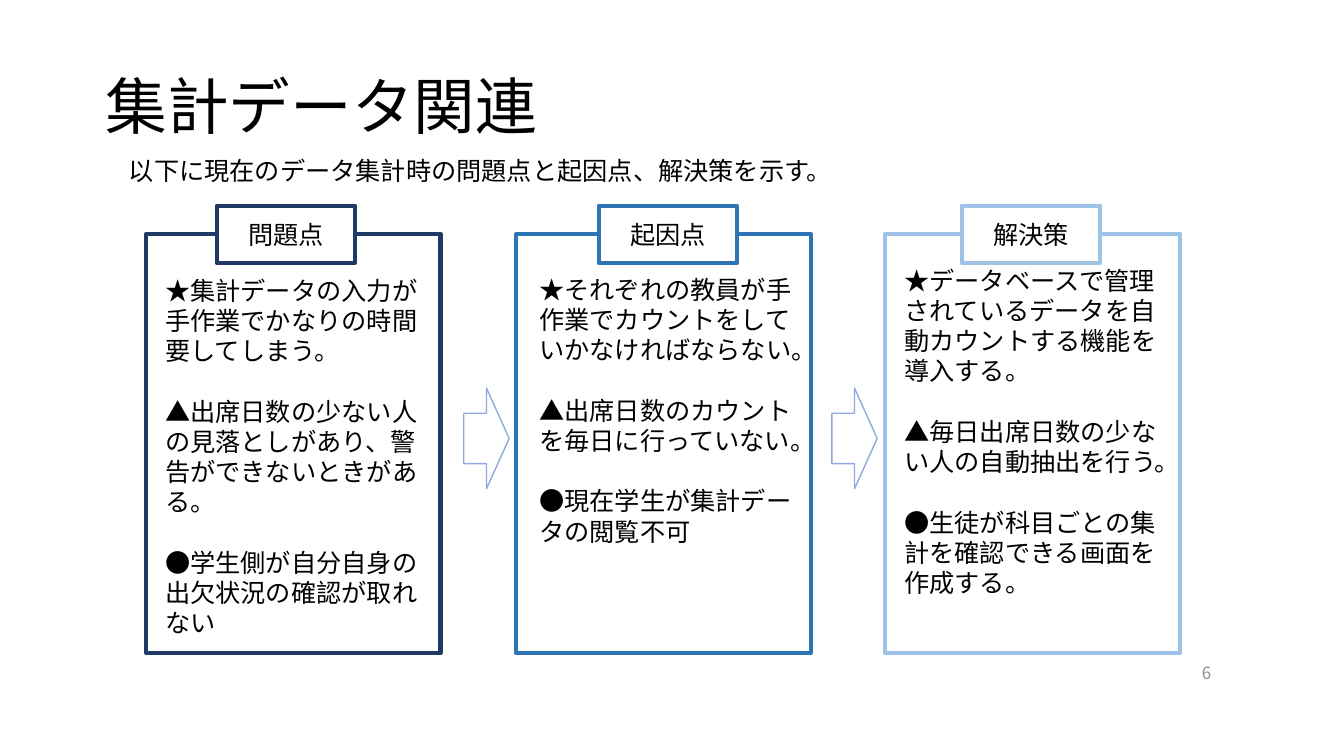
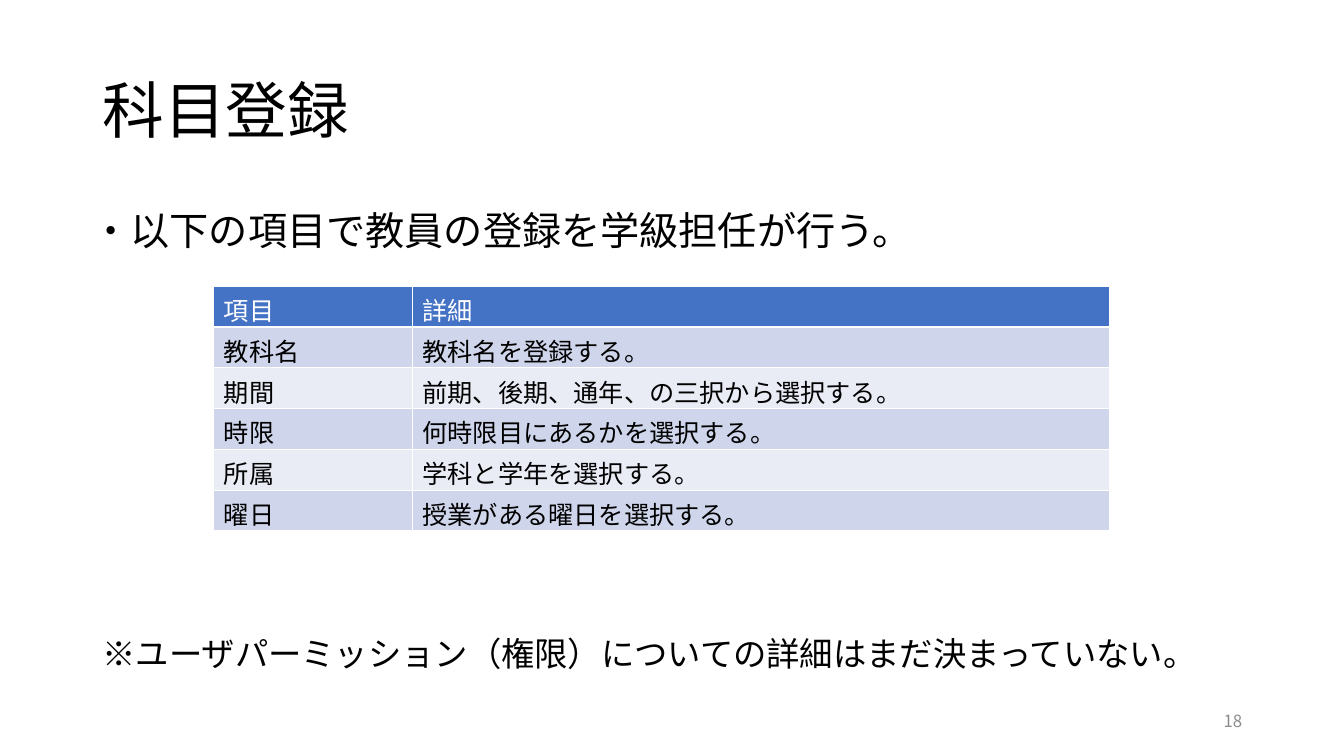
import lxml.etree
import pptx
import pptx.dml.color
import pptx.enum.shapes
import pptx.enum.text
import pptx.oxml.ns
import pptx.util

Inches = pptx.util.Inches
Pt = pptx.util.Pt
RGBColor = pptx.dml.color.RGBColor
qn = pptx.oxml.ns.qn
PRESET = pptx.enum.shapes.MSO_SHAPE
ALIGN = pptx.enum.text.PP_ALIGN
MIDDLE = pptx.enum.text.MSO_ANCHOR.MIDDLE

FONT = "Noto Sans CJK JP"
BLACK = RGBColor(0x00, 0x00, 0x00)
WHITE = RGBColor(0xFF, 0xFF, 0xFF)
GRAY = RGBColor(0x8C, 0x8C, 0x8C)
NAVY = RGBColor(0x20, 0x38, 0x64)
BLUE = RGBColor(0x2E, 0x75, 0xB6)
SKY = RGBColor(0x9D, 0xC3, 0xE6)
ARROW_BLUE = RGBColor(0x8F, 0xAA, 0xDC)
HEADER_BLUE = RGBColor(0x44, 0x72, 0xC4)
BAND_DARK = RGBColor(0xCF, 0xD5, 0xEA)
BAND_LIGHT = RGBColor(0xE9, 0xEB, 0xF5)
TIGHT_LINE = Pt(21.6)

# Heading, colour, panel left, tag left, body left, body top, points
PANELS = [
    ("問題点", NAVY, 1.45, 2.15, 1.54, 2.68, [
        "★集計データの入力が手作業でかなりの時間要してしまう。",
        "▲出席日数の少ない人の見落としがあり、警告ができないときがある。",
        "●学生側が自分自身の出欠状況の確認が取れない",
    ]),
    ("起因点", BLUE, 5.12, 5.94, 5.25, 2.67, [
        "★それぞれの教員が手作業でカウントをしていかなければならない。",
        "▲出席日数のカウントを毎日に行っていない。",
        "●現在学生が集計データの閲覧不可",
    ]),
    ("解決策", SKY, 8.78, 9.54, 8.87, 2.58, [
        "★データベースで管理されているデータを自動カウントする機能を導入する。",
        "▲毎日出席日数の少ない人の自動抽出を行う。",
        "●生徒が科目ごとの集計を確認できる画面を作成する。",
    ]),
]

SUBJECT_ROWS = [
    ("項目", "詳細"),
    ("教科名", "教科名を登録する。"),
    ("期間", "前期、後期、通年、の三択から選択する。"),
    ("時限", "何時限目にあるかを選択する。"),
    ("所属", "学科と学年を選択する。"),
    ("曜日", "授業がある曜日を選択する。"),
]


def style_paragraph(paragraph, size, color=BLACK):
    """Set the paragraph's font for Latin and East Asian text."""
    paragraph.font.name = FONT
    paragraph.font.size = Pt(size)
    paragraph.font.color.rgb = color
    defaults = paragraph._p.get_or_add_pPr().find(qn("a:defRPr"))
    lxml.etree.SubElement(defaults, qn("a:ea")).set("typeface", FONT)


def add_text(slide, box, lines, size, color=BLACK, align=ALIGN.LEFT,
             anchor=pptx.enum.text.MSO_ANCHOR.TOP, spacing=1.0,
             before=0, gap=0):
    """Add a wrapped text box with one paragraph per line."""
    frame = slide.shapes.add_textbox(*map(Inches, box)).text_frame
    frame.word_wrap = True
    frame.vertical_anchor = anchor
    for index, line in enumerate(lines):
        paragraph = frame.paragraphs[0] if index == 0 else frame.add_paragraph()
        paragraph.text = line
        paragraph.alignment = align
        paragraph.line_spacing = spacing
        paragraph.space_before = Pt(gap if index else before)
        style_paragraph(paragraph, size, color)


def add_title(slide, left, top, title):
    """Add the slide title."""
    add_text(slide, (left, top, 11.5, 1.45), [title], 44,
             anchor=MIDDLE, spacing=0.9)


def add_page_number(slide, box, number):
    """Add the gray, right-aligned page number."""
    add_text(slide, box, [number], 12, GRAY, ALIGN.RIGHT, MIDDLE)


def add_outlined(slide, preset, box, color, weight, fill=None):
    """Add an outlined preset shape, filled only when a fill is given."""
    shape = slide.shapes.add_shape(preset, *map(Inches, box))
    shape.shadow.inherit = False
    if fill is None:
        shape.fill.background()
    else:
        shape.fill.solid()
        shape.fill.fore_color.rgb = fill
    shape.line.color.rgb = color
    shape.line.width = Pt(weight)
    return shape


def add_panel(slide, heading, color, left, tag_left, body_left, body_top, points):
    """Add a framed panel with its heading tag and points."""
    add_outlined(slide, PRESET.RECTANGLE, (left, 2.32, 2.92, 4.16),
                 color, 3, WHITE)
    tag = add_outlined(slide, PRESET.RECTANGLE, (tag_left, 2.04, 1.37, 0.57),
                       color, 3, WHITE)
    tag.text_frame.vertical_anchor = MIDDLE
    heading_line = tag.text_frame.paragraphs[0]
    heading_line.text = heading
    heading_line.alignment = ALIGN.CENTER
    style_paragraph(heading_line, 18)
    add_text(slide, (body_left, body_top, 2.73, 3.8), points, 18,
             spacing=TIGHT_LINE, gap=21.6)


def add_cell_borders(cell):
    """Draw thin white borders on all sides of a cell."""
    properties = cell._tc.get_or_add_tcPr()
    for side in ("a:lnL", "a:lnR", "a:lnT", "a:lnB"):
        border = lxml.etree.SubElement(properties, qn(side))
        border.set("w", str(Pt(1)))
        fill = lxml.etree.SubElement(border, qn("a:solidFill"))
        lxml.etree.SubElement(fill, qn("a:srgbClr")).set("val", str(WHITE))


def add_banded_table(slide, box, widths, rows):
    """Add a table with a blue header and alternating row bands."""
    table = slide.shapes.add_table(len(rows), len(widths),
                                   *map(Inches, box)).table
    for column, width in zip(table.columns, widths):
        column.width = Inches(width)
    for row_index, values in enumerate(rows):
        band = BAND_DARK if row_index % 2 else BAND_LIGHT
        for column_index, value in enumerate(values):
            cell = table.cell(row_index, column_index)
            cell.text = value
            style_paragraph(cell.text_frame.paragraphs[0], 18,
                            BLACK if row_index else WHITE)
            add_cell_borders(cell)
            cell.fill.solid()
            cell.fill.fore_color.rgb = band if row_index else HEADER_BLUE


def build_data_slide(slide):
    """Build the problem, cause and solution slide."""
    add_title(slide, 0.95, 0.36, "集計データ関連")
    add_text(slide, (1.18, 1.49, 8.19, 0.4),
             ["以下に現在のデータ集計時の問題点と起因点、解決策を示す。"],
             18, spacing=TIGHT_LINE)
    for panel in PANELS:
        add_panel(slide, *panel)
    for arrow_left in (4.6, 8.25):
        add_outlined(slide, PRESET.RIGHT_ARROW, (arrow_left, 3.85, 0.45, 1),
                     ARROW_BLUE, 1)
    add_page_number(slide, (11.27, 6.47, 0.84, 0.4), "6")


def build_subject_slide(slide):
    """Build the subject registration slide."""
    add_title(slide, 0.92, 0.4, "科目登録")
    add_text(slide, (0.81, 2.05, 11.5, 0.64),
             ["・以下の項目で教員の登録を学級担任が行う。"],
             28, spacing=0.9, before=10)
    add_banded_table(slide, (2.12, 2.84, 8.89, 2.43), (1.97, 6.92), SUBJECT_ROWS)
    add_text(slide, (0.92, 6.31, 11.5, 0.64),
             ["※ユーザパーミッション（権限）についての詳細はまだ決まっていない。"],
             23.8, spacing=0.8, before=10)
    add_page_number(slide, (9.42, 6.95, 3, 0.4), "18")


def main():
    """Build and save the presentation."""
    deck = pptx.Presentation()
    deck.slide_width = Inches(13.33)
    deck.slide_height = Inches(7.5)
    blank = deck.slide_layouts[6]
    for build in (build_data_slide, build_subject_slide):
        build(deck.slides.add_slide(blank))
    deck.save("out.pptx")


main()
